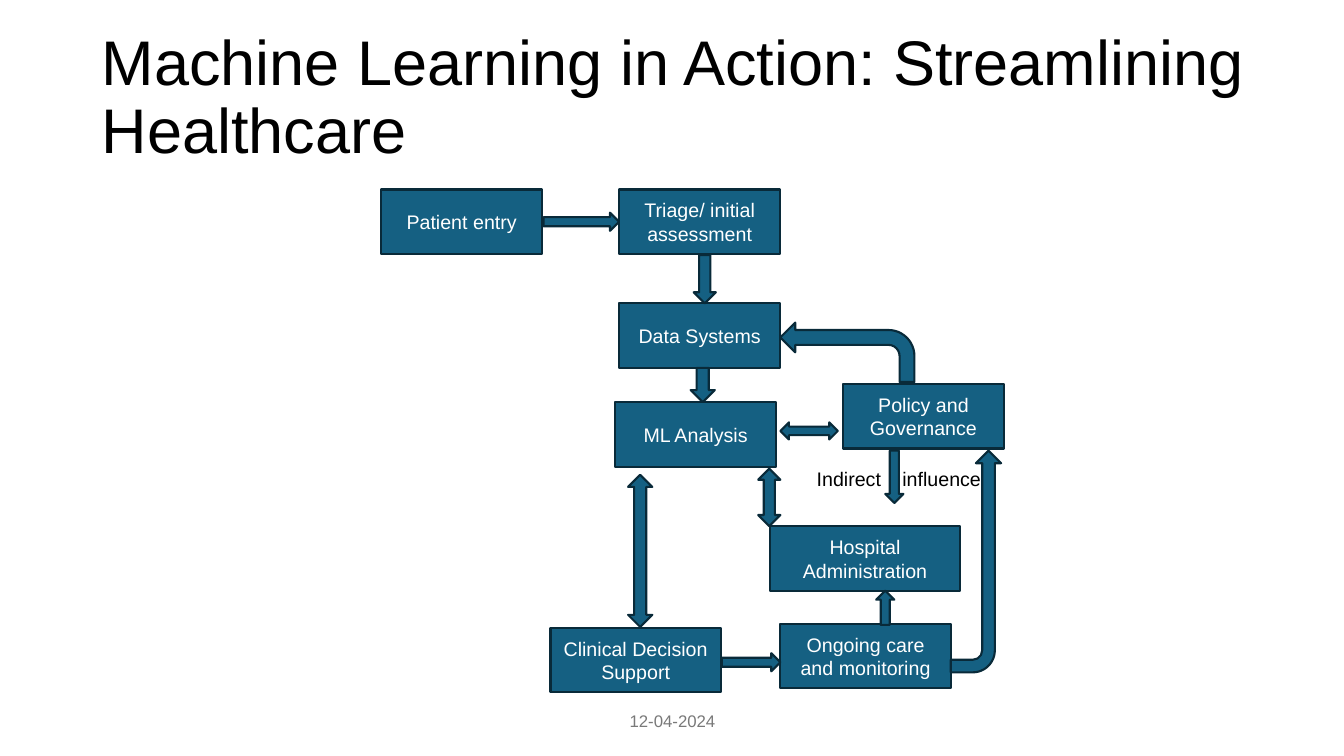
from dataclasses import dataclass

from lxml.etree import SubElement
from pptx import Presentation
from pptx.dml.color import RGBColor
from pptx.enum.shapes import MSO_SHAPE
from pptx.enum.text import MSO_ANCHOR, PP_ALIGN
from pptx.oxml.ns import qn
from pptx.shapes.autoshape import Shape
from pptx.slide import Slide
from pptx.util import Pt

EMU_PER_PX = 9144  # 100 px to the inch


@dataclass(frozen=True)
class Theme:
    font: str = "Arial"
    fill: RGBColor = RGBColor(0x15, 0x60, 0x82)
    outline: RGBColor = RGBColor(0x09, 0x2A, 0x39)
    light: RGBColor = RGBColor(0xFF, 0xFF, 0xFF)
    dark: RGBColor = RGBColor(0, 0, 0)
    muted: RGBColor = RGBColor(0x79, 0x79, 0x79)
    title_size: int = 45
    label_size: int = 14
    footer_size: int = 12
    outline_width: float = 1.5


@dataclass(frozen=True)
class Area:
    left: int
    top: int
    width: int
    height: int


@dataclass(frozen=True)
class Step:
    label: str
    left: int
    top: int
    width: int = 160
    height: int = 64


@dataclass(frozen=True)
class Arrow:
    kind: MSO_SHAPE
    area: Area
    rotation: int = 0
    mirrored: bool = False


THEME = Theme()

STEPS = [
    Step("Patient entry", 378, 188),
    Step("Triage/ initial assessment", 614, 188),
    Step("Data Systems", 614, 301),
    Step("ML Analysis", 610, 399),
    Step("Ongoing care and monitoring", 774, 619, 169),
    Step("Policy and Governance", 836, 381),
    Step("Hospital Administration", 764, 522, 188),
    Step("Clinical Decision Support", 546, 623, 169),
]

ARROWS = [
    # Care pathway
    Arrow(MSO_SHAPE.RIGHT_ARROW, Area(539, 211, 75, 18)),
    Arrow(MSO_SHAPE.DOWN_ARROW, Area(688, 253, 22, 48)),
    Arrow(MSO_SHAPE.DOWN_ARROW, Area(685, 365, 24, 34)),
    Arrow(MSO_SHAPE.RIGHT_ARROW, Area(716, 648, 58, 18)),
    Arrow(MSO_SHAPE.UP_ARROW, Area(869, 586, 18, 34)),
    # Policy feedback and influence
    Arrow(MSO_SHAPE.BENT_ARROW, Area(774, 320, 133, 59), mirrored=True),
    Arrow(MSO_SHAPE.BENT_ARROW, Area(858, 532, 220, 50), 90, True),
    Arrow(MSO_SHAPE.DOWN_ARROW, Area(878, 447, 18, 52)),
    # Exchanges with ML analysis
    Arrow(MSO_SHAPE.UP_DOWN_ARROW, Area(623, 471, 24, 151)),
    Arrow(MSO_SHAPE.UP_DOWN_ARROW, Area(752, 465, 22, 57)),
    Arrow(MSO_SHAPE.LEFT_RIGHT_ARROW, Area(774, 419, 57, 17)),
]


def px(value: int) -> int:
    return value * EMU_PER_PX


def bounds(area: Area | Step) -> tuple[int, int, int, int]:
    return px(area.left), px(area.top), px(area.width), px(area.height)


def write(shape: Shape, text: str, size: int, color: RGBColor,
          align: PP_ALIGN, anchor: MSO_ANCHOR = MSO_ANCHOR.MIDDLE) -> None:
    frame = shape.text_frame
    frame.text = text
    frame.word_wrap = True
    frame.vertical_anchor = anchor
    paragraph = frame.paragraphs[0]
    paragraph.alignment = align
    for run in paragraph.runs:
        run.font.name = THEME.font
        run.font.size = Pt(size)
        run.font.color.rgb = color


def add_filled(slide: Slide, kind: MSO_SHAPE, area: Area | Step) -> Shape:
    shape = slide.shapes.add_shape(kind, *bounds(area))
    shape.shadow.inherit = False
    shape.fill.solid()
    shape.fill.fore_color.rgb = THEME.fill
    shape.line.color.rgb = THEME.outline
    shape.line.width = Pt(THEME.outline_width)
    return shape


def add_step(slide: Slide, step: Step) -> None:
    shape = add_filled(slide, MSO_SHAPE.RECTANGLE, step)
    write(shape, step.label, THEME.label_size, THEME.light, PP_ALIGN.CENTER)


def add_arrow(slide: Slide, arrow: Arrow) -> None:
    shape = add_filled(slide, arrow.kind, arrow.area)
    shape.rotation = arrow.rotation
    if arrow.mirrored:
        shape._element.spPr.find(qn("a:xfrm")).set("flipH", "1")


def add_title(slide: Slide) -> None:
    title = slide.shapes.add_textbox(*bounds(Area(91, 51, 1203, 95)))
    write(title, "Machine Learning in Action: Streamlining Healthcare",
          THEME.title_size, THEME.dark, PP_ALIGN.LEFT)
    title.text_frame.paragraphs[0].line_spacing = 0.9


def add_influence_label(slide: Slide) -> None:
    label = slide.shapes.add_textbox(*bounds(Area(795, 458, 193, 34)))
    write(label, "Indirect\tinfluence", THEME.label_size, THEME.dark,
          PP_ALIGN.LEFT, MSO_ANCHOR.TOP)
    label.text_frame.margin_left = px(15)
    # The tab stop puts the second word beyond the arrow
    properties = label.text_frame.paragraphs[0]._p.get_or_add_pPr()
    tab_list = SubElement(properties, qn("a:tabLst"))
    SubElement(tab_list, qn("a:tab"), pos=str(px(85)), algn="l")


def add_date(slide: Slide) -> None:
    date = slide.shapes.add_textbox(*bounds(Area(442, 695, 450, 40)))
    write(date, "12-04-2024", THEME.footer_size, THEME.muted, PP_ALIGN.CENTER)


def main() -> None:
    presentation = Presentation()
    presentation.slide_width = px(1333)
    presentation.slide_height = px(750)
    slide = presentation.slides.add_slide(presentation.slide_layouts[6])

    # Heading
    add_title(slide)

    # Flow chart
    for step in STEPS:
        add_step(slide, step)
    for arrow in ARROWS:
        add_arrow(slide, arrow)
    add_influence_label(slide)

    # Footer
    add_date(slide)

    presentation.save("out.pptx")


if __name__ == "__main__":
    main()
